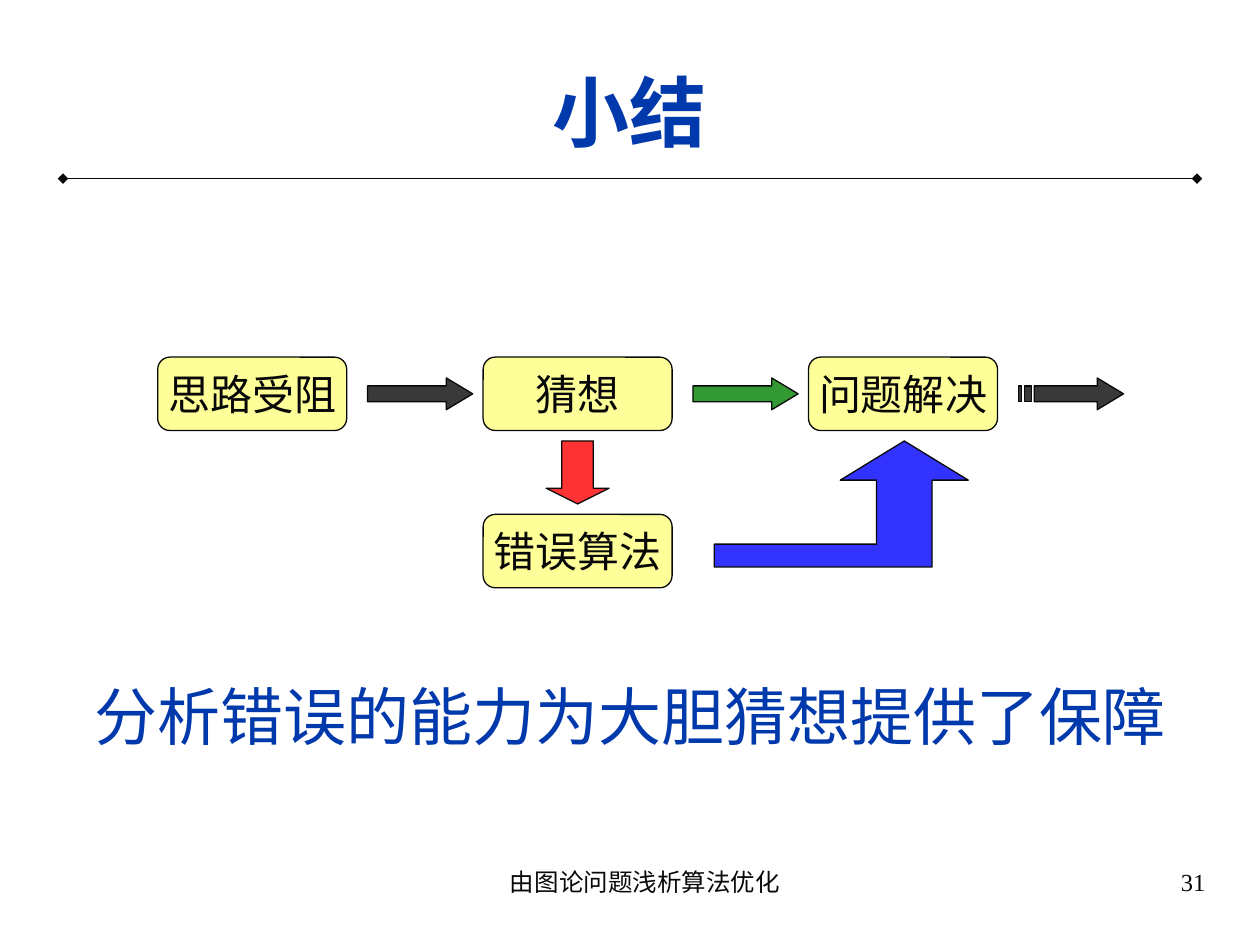
from dataclasses import dataclass

from lxml.etree import SubElement
from pptx import Presentation
from pptx.dml.color import RGBColor
from pptx.enum.shapes import MSO_CONNECTOR, MSO_SHAPE
from pptx.enum.text import MSO_ANCHOR, PP_ALIGN
from pptx.oxml.ns import qn
from pptx.util import Cm, Pt


@dataclass(frozen=True)
class Theme:
    ink: str = "080808"
    heading: str = "0039AC"
    box: str = "FFFF99"
    success: str = "008000"
    failure: str = "FF0000"
    detour: str = "0000FF"
    sans: str = "Arial"
    serif: str = "Times New Roman"
    title_size: int = 44
    body_size: int = 36
    box_size: int = 24
    footer_size: int = 14
    arrow_opacity: int = 80


THEME = Theme()
COLUMN_LEFT, COLUMN_PITCH = 3.18, 6.56
ROW_TOP, ROW_PITCH = 7.2, 3.17
BOX_W, BOX_H = 3.81, 1.48
ARROW_LEFT, ARROW_TOP = 7.41, 7.62
ARROW_W, ARROW_H = 2.12, 0.64


def write(tf, text, size, color, font=THEME.sans, align=PP_ALIGN.CENTER, bold=False):
    p = tf.paragraphs[0]
    p.alignment = align
    r = p.add_run()
    r.text = text
    r.font.size = Pt(size)
    r.font.name = font
    r.font.bold = bold
    r.font.color.rgb = RGBColor.from_string(color)


def add_text(s, box, text, size, color, anchor=MSO_ANCHOR.TOP, indent=0, **style):
    tf = s.shapes.add_textbox(*map(Cm, box)).text_frame
    tf.word_wrap = True
    tf.vertical_anchor = anchor
    tf.margin_left = Cm(0.25 + indent)
    write(tf, text, size, color, **style)


def paint(sp, color, opacity=100):
    sp.shadow.inherit = False
    sp.fill.solid()
    sp.fill.fore_color.rgb = RGBColor.from_string(color)
    sp.line.color.rgb = RGBColor.from_string(THEME.ink)
    sp.line.width = Pt(0.75)
    if opacity < 100:
        clr = sp._element.spPr.find(qn("a:solidFill"))[0]
        SubElement(clr, qn("a:alpha")).set("val", str(opacity * 1000))


def add_box(s, column, row, text):
    left = COLUMN_LEFT + column * COLUMN_PITCH
    top = ROW_TOP + row * ROW_PITCH
    sp = s.shapes.add_shape(MSO_SHAPE.FLOWCHART_ALTERNATE_PROCESS,
                            Cm(left), Cm(top), Cm(BOX_W), Cm(BOX_H))
    paint(sp, THEME.box)
    tf = sp.text_frame
    tf.word_wrap = False
    tf.vertical_anchor = MSO_ANCHOR.MIDDLE
    write(tf, text, THEME.box_size, THEME.ink)


def add_arrow(s, kind, box, head, color):
    sp = s.shapes.add_shape(kind, *map(Cm, box))
    sp.adjustments[0] = 0.5
    sp.adjustments[1] = head
    paint(sp, color, THEME.arrow_opacity)


def add_outline(s, contours, color):
    contours = [[(Cm(x), Cm(y)) for x, y in points] for points in contours]
    builder = s.shapes.build_freeform(*contours[0][0])
    for i, points in enumerate(contours):
        if i:
            builder.move_to(*points[0])
        builder.add_line_segments(points[1:], close=True)
    paint(builder.convert_to_shape(), color, THEME.arrow_opacity)


def add_striped_arrow(s, left, top):
    right, bottom = left + ARROW_W, top + ARROW_H
    upper, lower = top + ARROW_H / 4, bottom - ARROW_H / 4
    body, neck = left + 0.32, right - 0.53
    head = [(body, upper), (neck, upper), (neck, top), (right, top + ARROW_H / 2),
            (neck, bottom), (neck, lower), (body, lower)]
    stripes = [[(left + a, upper), (left + b, upper), (left + b, lower), (left + a, lower)]
               for a, b in ((0, 0.07), (0.13, 0.26))]
    add_outline(s, [head, *stripes], THEME.ink)


def add_bent_arrow(s):
    left, bottom, top = 14.4, 11.43, 8.89
    tip, half_head, half_shaft = 18.23, 1.29, 0.56
    bar_top, neck = 10.97, 9.68
    add_outline(s, [[
        (left, bar_top), (tip - half_shaft, bar_top), (tip - half_shaft, neck),
        (tip - half_head, neck), (tip, top), (tip + half_head, neck),
        (tip + half_shaft, neck), (tip + half_shaft, bottom), (left, bottom),
    ]], THEME.detour)


def add_rule(s):
    line = s.shapes.add_connector(MSO_CONNECTOR.STRAIGHT,
                                  Cm(1.27), Cm(3.6), Cm(24.13), Cm(3.6))
    line.line.color.rgb = RGBColor.from_string(THEME.ink)
    line.line.width = Pt(1)
    ln = line.line._get_or_add_ln()
    for end in ("a:headEnd", "a:tailEnd"):
        SubElement(ln, qn(end)).set("type", "diamond")
    SubElement(line._element.spPr, qn("a:effectLst"))


def main():
    prs = Presentation()
    prs.slide_width, prs.slide_height = Cm(25.4), Cm(19.05)
    s = prs.slides.add_slide(prs.slide_layouts[6])

    add_rule(s)
    add_text(s, (0.84, 0.64, 23.72, 3.17), "小结", THEME.title_size, THEME.heading,
             anchor=MSO_ANCHOR.MIDDLE, bold=True)
    add_text(s, (0.84, 13.54, 23.72, 1.9), "分析错误的能力为大胆猜想提供了保障",
             THEME.body_size, THEME.heading)

    for column, row, text in ((0, 0, "思路受阻"), (1, 0, "猜想"),
                              (1, 1, "错误算法"), (2, 0, "问题解决")):
        add_box(s, column, row, text)

    for column, color in enumerate((THEME.ink, THEME.success)):
        left = ARROW_LEFT + column * COLUMN_PITCH
        add_arrow(s, MSO_SHAPE.RIGHT_ARROW, (left, ARROW_TOP, ARROW_W, ARROW_H),
                  0.83, color)
    add_arrow(s, MSO_SHAPE.DOWN_ARROW, (11.01, 8.89, 1.27, 1.27), 0.25, THEME.failure)
    add_bent_arrow(s)
    add_striped_arrow(s, ARROW_LEFT + 2 * COLUMN_PITCH, ARROW_TOP)

    add_text(s, (8.68, 17.36, 8.04, 1.32), "由图论问题浅析算法优化",
             THEME.footer_size, THEME.ink, font=THEME.serif, indent=0.61)
    add_text(s, (18.2, 17.36, 6.35, 1.32), "31", THEME.footer_size, THEME.ink,
             font=THEME.serif, align=PP_ALIGN.RIGHT)

    prs.save("out.pptx")


if __name__ == "__main__":
    main()
